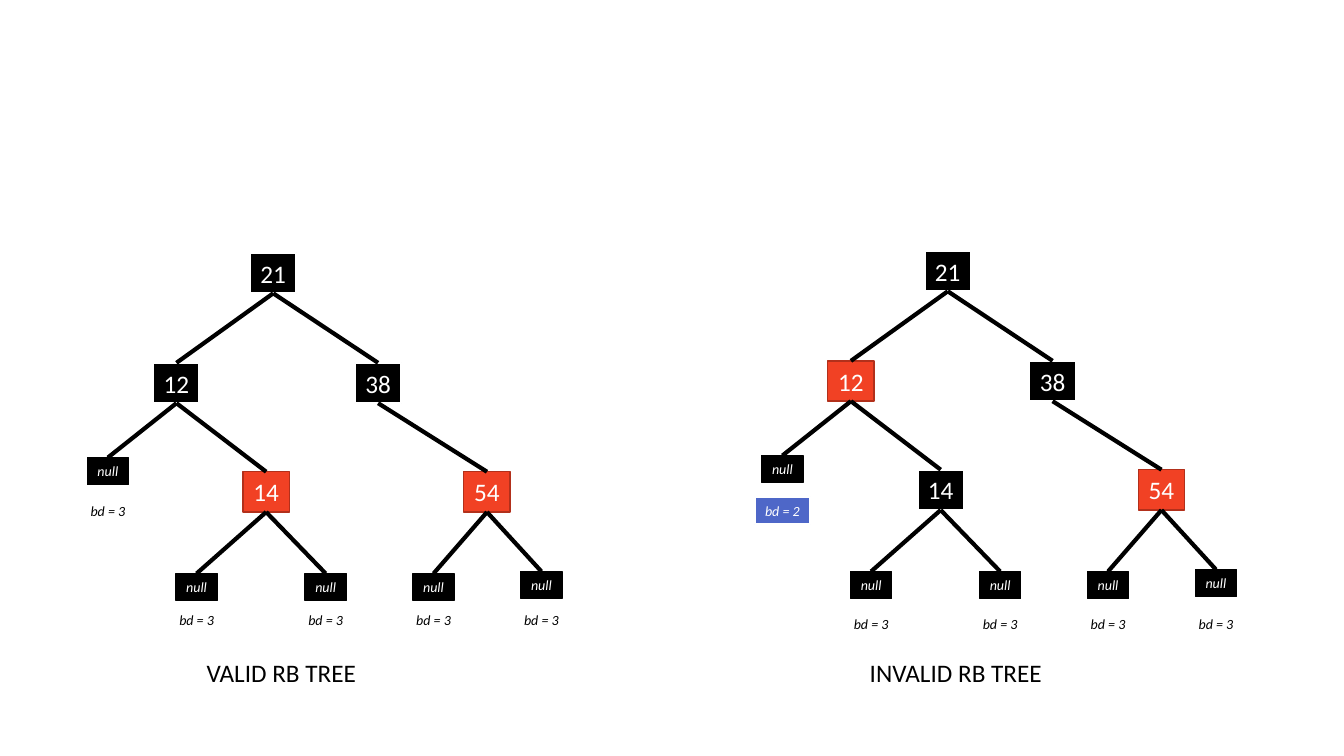
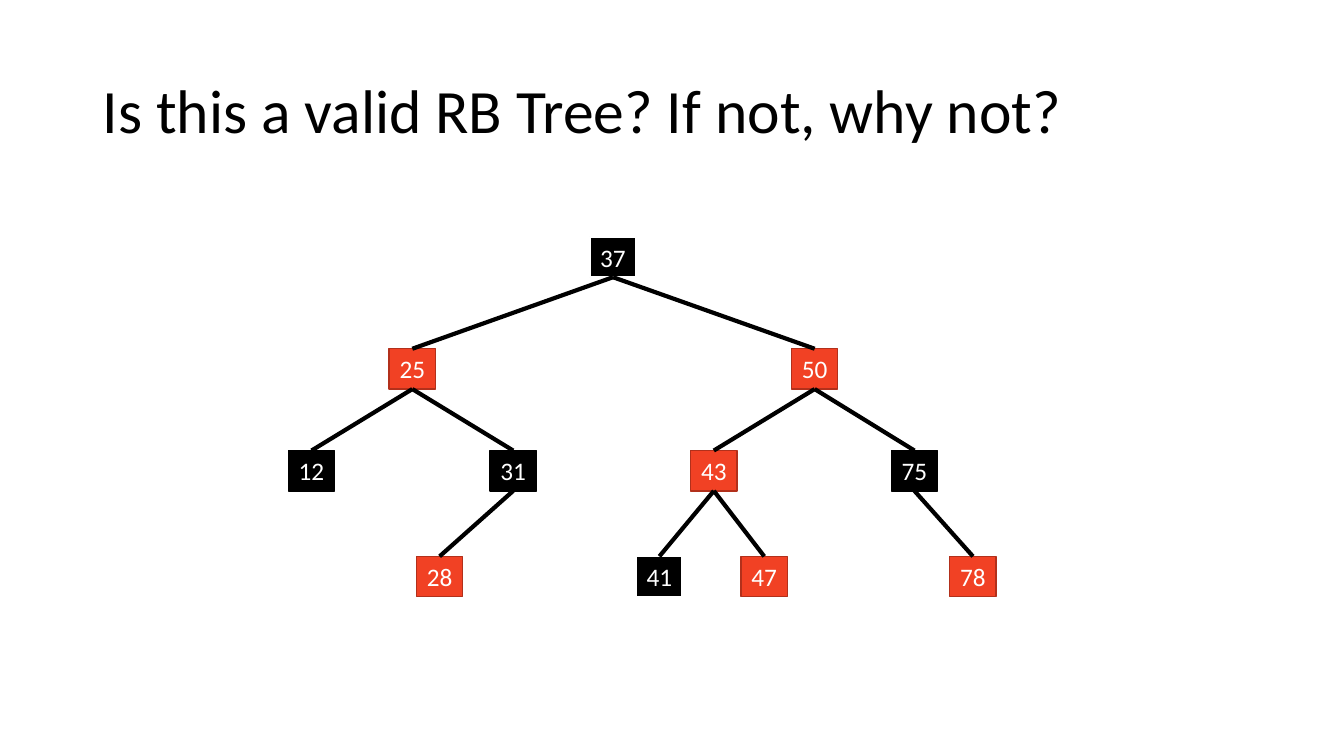
from collections import namedtuple

from lxml.etree import SubElement
from pptx import Presentation
from pptx.dml.color import RGBColor
from pptx.enum.shapes import MSO_CONNECTOR, MSO_SHAPE
from pptx.enum.text import MSO_ANCHOR, PP_ALIGN
from pptx.oxml.ns import qn
from pptx.util import Inches, Pt

COLORS = {
    "black": "000000",
    "white": "FFFFFF",
    "red": "F14124",
    "dark_red": "B2301B",
    "blue": "4E67C8",
}
FONT = "Calibri"

# Fill, outline and outline width of each kind of box
Style = namedtuple("Style", "fill line width")
BLACK = Style("black", "white", 1.5)
SOLID = Style("black", "black", 1)
RED = Style("red", "dark_red", 1)
ALERT = Style("blue", "white", 1.5)

# A node has its centre x and top y relative to its tree's box
Node = namedtuple("Node", "label parent x y")
KEY_SIZE = (0.46, 0.4)
NULL_SIZE = (0.41, 0.27)
DEPTH_SIZE = (0.55, 0.27)

DEPTH_TREE = [
    Node("21", None, 1.91, 0),
    Node("12", "21", 0.95, 1.09),
    Node("38", "21", 2.95, 1.09),
    Node("14", "12", 1.84, 2.17),
    Node("54", "38", 4.03, 2.17),
    Node("null", "12", 0.27, 2.03),
    Node("null", "14", 1.15, 3.18),
    Node("null", "14", 2.43, 3.18),
    Node("null", "54", 3.5, 3.18),
    Node("null", "54", 4.57, 3.16),
]
QUIZ_TREE = [
    Node("37", None, 3.22, 0),
    Node("25", "37", 1.23, 1.11),
    Node("50", "37", 5.22, 1.11),
    Node("12", "25", 0.23, 2.12),
    Node("31", "25", 2.23, 2.12),
    Node("43", "50", 4.22, 2.12),
    Node("75", "50", 6.21, 2.12),
    Node("28", "31", 1.5, 3.17),
    Node("41", "43", 3.68, 3.17),
    Node("47", "43", 4.72, 3.17),
    Node("78", "75", 6.79, 3.17),
]


def color(name):
    return RGBColor.from_string(COLORS[name])


def write(shape, text, size, ink, italic=False, align=PP_ALIGN.CENTER):
    frame = shape.text_frame
    frame.word_wrap = False
    frame.vertical_anchor = MSO_ANCHOR.MIDDLE
    paragraph = frame.paragraphs[0]
    paragraph.text = text
    paragraph.alignment = align
    font = paragraph.font
    font.name, font.size, font.italic = FONT, Pt(size), italic
    font.color.rgb = color(ink)
    return paragraph


def add_label(slide, text, center, top, box_size, size, italic=False):
    width, height = box_size
    label = slide.shapes.add_textbox(
        Inches(center - width / 2), Inches(top), Inches(width), Inches(height))
    write(label, text, size, "black", italic)


def add_box(slide, text, center, top, box_size, style, size, italic=False):
    width, height = box_size
    box = slide.shapes.add_shape(
        MSO_SHAPE.RECTANGLE, Inches(center - width / 2), Inches(top),
        Inches(width), Inches(height))
    box.shadow.inherit = False
    box.fill.solid()
    box.fill.fore_color.rgb = color(style.fill)
    box.line.color.rgb = color(style.line)
    box.line.width = Pt(style.width)
    write(box, text, size, "white", italic)
    return box


def add_edge(slide, parent, child):
    edge = slide.shapes.add_connector(MSO_CONNECTOR.STRAIGHT, 0, 0, 0, 0)
    edge.begin_connect(parent, 2)
    edge.end_connect(child, 0)
    edge.line.color.rgb = color("black")
    edge.line.width = Pt(3)
    SubElement(edge._element.spPr, qn("a:effectLst"))


def add_tree(slide, left, top, nodes, reds, solids=()):
    boxes, edges = {}, []
    for node in nodes:
        center, y = left + node.x, top + node.y
        if node.label == "null":
            box = add_box(slide, "null", center, y, NULL_SIZE, SOLID, 10, True)
        else:
            style = (RED if node.label in reds
                     else SOLID if node.label in solids else BLACK)
            box = add_box(slide, node.label, center, y, KEY_SIZE, style, 18)
            boxes[node.label] = box
        if node.parent:
            edges.append((boxes[node.parent], box))
    # Edges lie over the boxes
    for parent, child in edges:
        add_edge(slide, parent, child)


def add_depth_tree(slide, left, top, reds, caption, first_depth, lower_depth_top):
    """A tree with the black depth under every null, and a caption."""
    add_tree(slide, left, top, DEPTH_TREE, reds)
    shallow, *deep = [left + n.x for n in DEPTH_TREE if n.label == "null"]
    if first_depth == 3:
        add_label(slide, "bd = 3", shallow, 4.93, DEPTH_SIZE, 10, True)
    else:
        add_box(slide, f"bd = {first_depth}", shallow, 4.93, DEPTH_SIZE,
                ALERT, 10, True)
    for center in deep:
        add_label(slide, "bd = 3", center, lower_depth_top, DEPTH_SIZE, 10, True)
    add_label(slide, caption, left + 1.99, 6.47, (1.93, 0.4), 18)


def add_title(slide, text):
    title = slide.shapes.add_textbox(
        Inches(0.92), Inches(0.4), Inches(11.5), Inches(1.45))
    paragraph = write(title, text, 44, "black", align=PP_ALIGN.LEFT)
    paragraph.line_spacing = 0.9
    title.text_frame.word_wrap = True


def build_comparison(slide):
    add_depth_tree(slide, 0.8, 2.51, {"14", "54"}, "VALID RB TREE", 3, 6.02)
    add_depth_tree(slide, 7.49, 2.49, {"12", "54"}, "INVALID RB TREE", 2, 6.05)


def build_quiz(slide):
    add_title(slide, "Is this a valid RB Tree? If not, why not?")
    add_tree(slide, 2.86, 2.35, QUIZ_TREE,
             reds={"25", "50", "43", "28", "47", "78"},
             solids={"12", "31", "75"})


def main():
    deck = Presentation()
    deck.slide_width, deck.slide_height = Inches(13.33), Inches(7.5)
    blank = deck.slide_layouts[6]
    for build in (build_comparison, build_quiz):
        build(deck.slides.add_slide(blank))
    deck.save("out.pptx")


if __name__ == "__main__":
    main()
